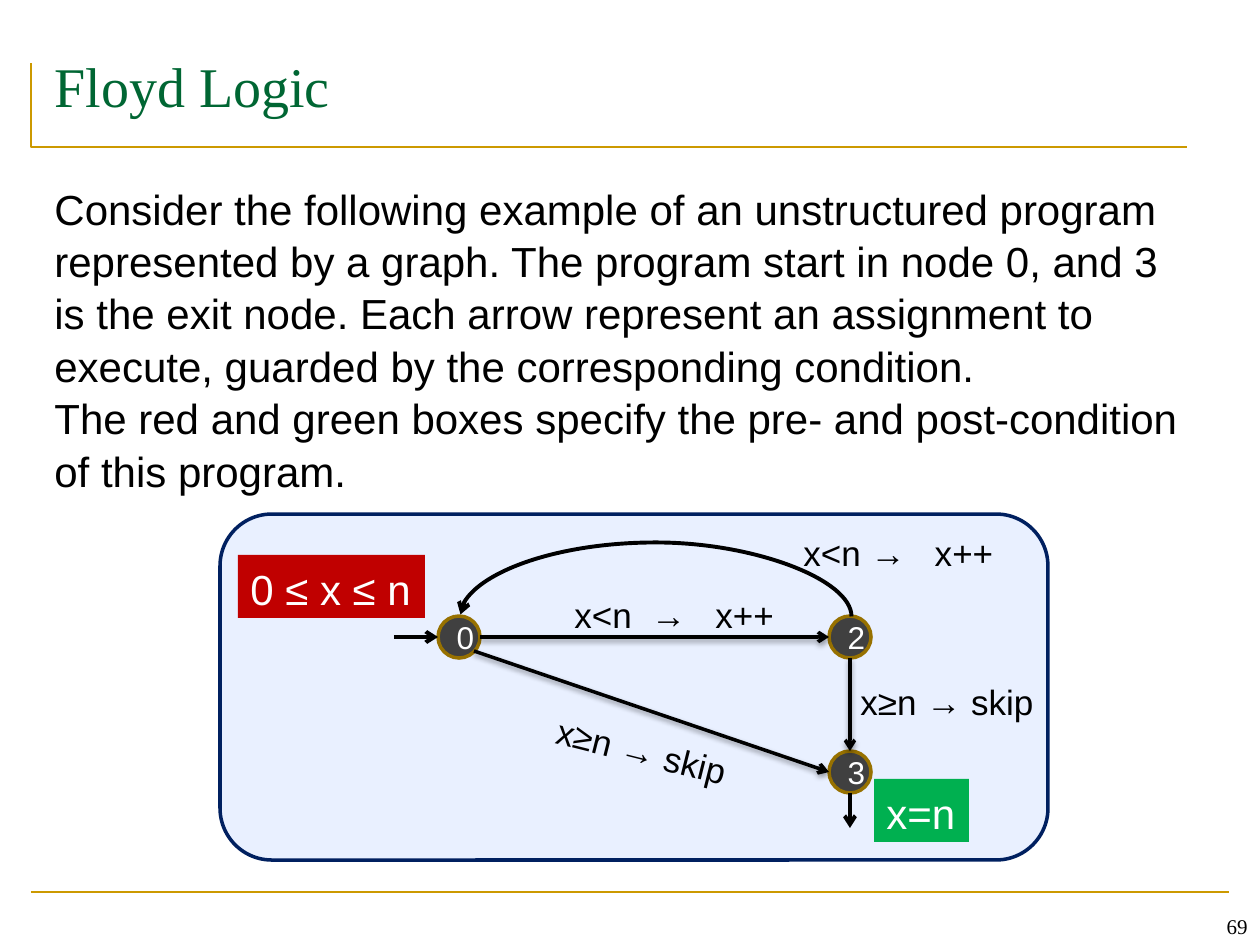
from lxml import etree
from pptx import Presentation
from pptx import util as u
from pptx.dml.color import RGBColor
from pptx.enum import shapes, text
from pptx.oxml import ns

PX = 914400 / 126
BLACK = RGBColor(0x00, 0x00, 0x00)
WHITE = RGBColor(0xFF, 0xFF, 0xFF)
GOLD = RGBColor(0xCC, 0x99, 0x00)
BRONZE = RGBColor(0x97, 0x71, 0x00)
GREEN = RGBColor(0x00, 0x66, 0x33)
NAVY = RGBColor(0x00, 0x20, 0x60)
SKY = RGBColor(0x66, 0x99, 0xFF)
CHARCOAL = RGBColor(0x40, 0x40, 0x40)
RED = RGBColor(0xC0, 0x00, 0x00)
POST_GREEN = RGBColor(0x00, 0xB0, 0x50)
NODE_SIZE = 42
BODY = [
    "Consider the following example of an unstructured program",
    "represented by a graph. The program start in node 0, and 3 is the exit node. "
    "Each arrow represent an assignment to execute, guarded by the corresponding condition.",
    "The red and green boxes specify the pre- and post-condition of this program.",
]


def px(*lengths):
    """Turn lengths in px into EMU."""
    return [u.Emu(round(length * PX)) for length in lengths]


def add_child(parent, tag, **attributes):
    """Append a DrawingML element with attributes."""
    child = etree.SubElement(parent, ns.qn(tag))
    for name, value in attributes.items():
        child.set(name, str(value))
    return child


def write(shape, lines, size, color=BLACK, font="Arial", wrap=False, spacing=1.04,
          align=text.PP_ALIGN.LEFT, anchor=text.MSO_ANCHOR.TOP):
    """Write one paragraph per line into a shape."""
    frame = shape.text_frame
    frame.word_wrap = wrap
    frame.vertical_anchor = anchor
    for index, line in enumerate(lines):
        paragraph = frame.add_paragraph() if index else frame.paragraphs[0]
        paragraph.alignment = align
        paragraph.line_spacing = spacing
        run = paragraph.add_run()
        run.text = line
        run.font.name = font
        run.font.size = u.Pt(size)
        run.font.color.rgb = color


def add_text(slide, box, lines, size, **style):
    """Add a text box."""
    shape = slide.shapes.add_textbox(*px(*box))
    write(shape, lines, size, **style)
    return shape


def add_block(slide, kind, box, fill, line=None):
    """Add a filled preset shape, outlined when a line colour is given."""
    shape = slide.shapes.add_shape(kind, *px(*box))
    shape.shadow.inherit = False
    shape.fill.solid()
    shape.fill.fore_color.rgb = fill
    if line is None:
        shape.line.fill.background()
    else:
        shape.line.color.rgb = line
        shape.line.width = u.Pt(2)
    return shape


def add_panel(slide, box):
    """Add the translucent rounded panel behind the graph."""
    panel = add_block(slide, shapes.MSO_SHAPE.ROUNDED_RECTANGLE, box, SKY, NAVY)
    panel.adjustments[0] = 0.15
    color = panel.fill._xPr.find(".//" + ns.qn("a:srgbClr"))
    add_child(color, "a:alpha", val=14000)


def add_node(slide, center, label):
    """Add a numbered graph node around its centre."""
    x, y = center
    box = (x - NODE_SIZE / 2, y - NODE_SIZE / 2, NODE_SIZE, NODE_SIZE)
    node = add_block(slide, shapes.MSO_SHAPE.OVAL, box, CHARCOAL, BRONZE)
    write(node, [label], 18, WHITE, wrap=True, spacing=1.0,
          align=text.PP_ALIGN.CENTER, anchor=text.MSO_ANCHOR.MIDDLE)


def add_condition(slide, box, label, fill):
    """Add a coloured box holding a program condition."""
    shape = add_block(slide, shapes.MSO_SHAPE.RECTANGLE, box, fill)
    write(shape, [label], 24, WHITE)


def add_line(slide, ends, width, color=BLACK, arrow=True, shadow=False,
             kind=shapes.MSO_CONNECTOR.STRAIGHT):
    """Add a connector with an optional arrowhead and shadow."""
    connector = slide.shapes.add_connector(kind, *px(*ends))
    connector.line.color.rgb = color
    connector.line.width = u.Pt(width)
    if arrow:
        add_child(connector.line._get_or_add_ln(), "a:tailEnd", type="arrow")
    effects = add_child(connector._element.spPr, "a:effectLst")
    if shadow:
        outer = add_child(effects, "a:outerShdw", blurRad=40000, dist=20000,
                          dir=5400000, rotWithShape=0)
        add_child(add_child(outer, "a:srgbClr", val="000000"), "a:alpha", val=38000)
    return connector


def add_loop(slide):
    """Add the curved arrow leading back from node 2 to node 0."""
    loop = add_line(slide, (655, 811, 657, 420), 2.25, kind=shapes.MSO_CONNECTOR.CURVE)
    properties = loop._element.spPr
    properties.find(ns.qn("a:xfrm")).set("rot", "16200000")
    geometry = properties.find(ns.qn("a:prstGeom"))
    guides = geometry.find(ns.qn("a:avLst"))
    if guides is None:
        guides = add_child(geometry, "a:avLst")
    add_child(guides, "a:gd", name="adj1", fmla="val 3730000")


def add_frame(slide):
    """Add the title corner rule and the footer rule."""
    builder = slide.shapes.build_freeform(31, 63, scale=PX)
    builder.add_line_segments([(31, 147), (1187, 147)], close=False)
    corner = builder.convert_to_shape()
    corner.shadow.inherit = False
    corner.fill.background()
    corner.line.color.rgb = GOLD
    corner.line.width = u.Pt(1.5)
    add_line(slide, (31, 892, 1229, 892), 1.5, GOLD, arrow=False)


def add_graph(slide):
    """Add the program graph with its guards and conditions."""
    add_panel(slide, (220, 514, 828, 346))
    for label, center in {"0": (459, 637), "2": (850, 637), "3": (850, 772)}.items():
        add_node(slide, center, label)
    for ends in [(480, 637, 829, 637), (850, 658, 850, 751), (474, 651, 829, 772)]:
        add_line(slide, ends, 2, shadow=True)
    for ends in [(394, 637, 438, 637), (850, 793, 850, 828)]:
        add_line(slide, ends, 2.25)
    add_loop(slide)
    guards = [
        ((791, 524, 215, 55), "x<n →   x++", 0),
        ((562, 586, 226, 55), "x<n  →   x++", 0),
        ((543, 722, 199, 55), "x≥n → skip", 14.1),
        ((848, 673, 199, 55), "x≥n → skip", 0),
    ]
    for box, label, rotation in guards:
        add_text(slide, box, [label], 20).rotation = rotation
    add_condition(slide, (238, 555, 187, 63), "0 ≤ x ≤ n", RED)
    add_condition(slide, (874, 779, 95, 63), "x=n", POST_GREEN)


def main():
    """Build and save the slide."""
    presentation = Presentation()
    presentation.slide_width, presentation.slide_height = px(1260, 945)
    slide = presentation.slides.add_slide(presentation.slide_layouts[6])
    add_frame(slide)
    title = add_text(slide, (42, 38, 1176, 108), ["Floyd Logic"], 32, color=GREEN,
                     font="Times New Roman", wrap=True, spacing=1.0)
    title.text_frame.margin_top = px(13)[0]
    add_text(slide, (42, 175, 1155, 318), BODY, 24, wrap=True)
    add_graph(slide)
    add_text(slide, (966, 882, 294, 63), ["69"], 12, font="Times New Roman", wrap=True,
             spacing=1.0, align=text.PP_ALIGN.RIGHT, anchor=text.MSO_ANCHOR.BOTTOM)
    presentation.save("out.pptx")


if __name__ == "__main__":
    main()
